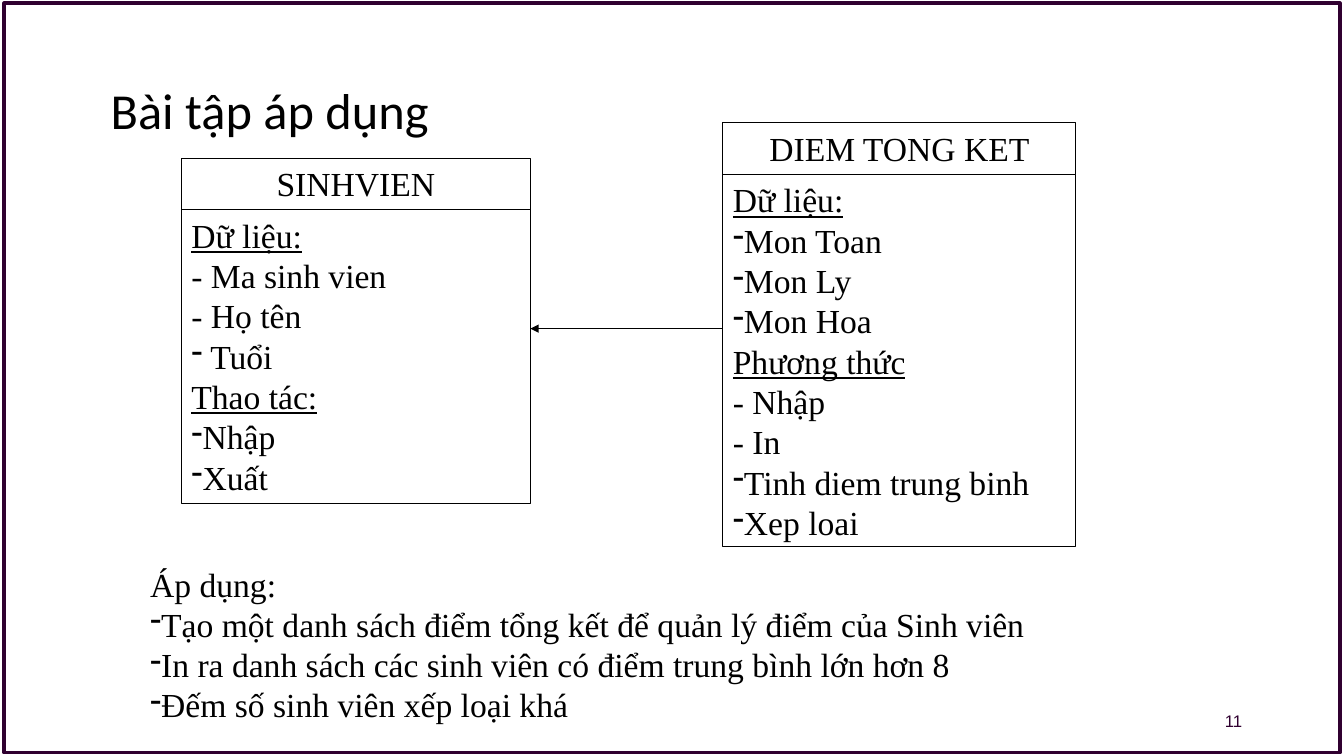
from dataclasses import dataclass

from lxml import etree
from pptx import Presentation
from pptx.dml.color import RGBColor
from pptx.enum.shapes import MSO_CONNECTOR, MSO_SHAPE
from pptx.enum.text import MSO_ANCHOR, PP_ALIGN
from pptx.oxml.ns import qn
from pptx.util import Inches, Pt


@dataclass(frozen=True)
class Theme:
    """Colours, fonts and type sizes of the slide."""
    ink: RGBColor = RGBColor(0, 0, 0)
    paper: RGBColor = RGBColor(255, 255, 255)
    plum: RGBColor = RGBColor(0x30, 0x00, 0x30)
    body_font: str = "Times New Roman"
    title_font: str = "Calibri"
    number_font: str = "Arial"
    body_size: int = 24
    title_size: int = 36
    number_size: int = 12
    thin: float = 0.75
    frame: float = 2.25


THEME = Theme()
HEADER_HEIGHT = 0.53
BODY_OFFSET = 0.51
BULLET = "*"
UNDERLINE = "_"

STUDENT_LINES = ["_Dữ liệu:", "- Ma sinh vien", "- Họ tên", "* Tuổi",
                 "_Thao tác:", "*Nhập", "*Xuất"]
GRADE_LINES = ["_Dữ liệu:", "*Mon Toan", "*Mon Ly", "*Mon Hoa",
               "_Phương thức", "- Nhập", "- In",
               "*Tinh diem trung binh", "*Xep loai"]
TASK_LINES = ["Áp dụng: ",
              "*Tạo một danh sách điểm tổng kết để quản lý điểm của Sinh viên",
              "*In ra danh sách các sinh viên có điểm trung bình lớn hơn 8",
              "*Đếm số sinh viên xếp loại khá"]


def add_dash_bullet(paragraph):
    """Give a paragraph a dash bullet without indent."""
    bullet = etree.SubElement(paragraph._p.get_or_add_pPr(), qn("a:buChar"))
    bullet.set("char", "-")


def write_lines(shape, lines, font=THEME.body_font, size=THEME.body_size,
                color=THEME.ink, align=PP_ALIGN.LEFT, anchor=MSO_ANCHOR.TOP):
    """Write one paragraph per line, reading its leading style marker."""
    frame = shape.text_frame
    frame.word_wrap = True
    frame.vertical_anchor = anchor
    for index, line in enumerate(lines):
        paragraph = frame.paragraphs[0] if index == 0 else frame.add_paragraph()
        paragraph.alignment = align
        if line.startswith(BULLET):
            add_dash_bullet(paragraph)
        run = paragraph.add_run()
        run.text = line.lstrip(BULLET + UNDERLINE)
        run.font.name = font
        run.font.size = Pt(size)
        run.font.color.rgb = color
        run.font.underline = line.startswith(UNDERLINE)


def add_box(slide, left, top, width, height, fill=None, line=None, weight=THEME.thin):
    """Add a flat rectangle with an optional fill and outline."""
    box = slide.shapes.add_shape(MSO_SHAPE.RECTANGLE, Inches(left), Inches(top),
                                 Inches(width), Inches(height))
    box.shadow.inherit = False
    if fill is None:
        box.fill.background()
    else:
        box.fill.solid()
        box.fill.fore_color.rgb = fill
    if line is None:
        box.line.fill.background()
    else:
        box.line.color.rgb = line
        box.line.width = Pt(weight)
    return box


def add_label(slide, left, top, width, height, text, **style):
    """Add a text box centred vertically and return its paragraph."""
    label = slide.shapes.add_textbox(Inches(left), Inches(top),
                                     Inches(width), Inches(height))
    write_lines(label, [text], anchor=MSO_ANCHOR.MIDDLE, **style)
    return label.text_frame.paragraphs[0]


def add_class_box(slide, left, top, width, body_height, name, members):
    """Add a class diagram box with a name above its members."""
    header = add_box(slide, left, top, width, HEADER_HEIGHT, THEME.paper, THEME.ink)
    write_lines(header, [name], align=PP_ALIGN.CENTER)
    body = add_box(slide, left, top + BODY_OFFSET, width, body_height,
                   THEME.paper, THEME.ink)
    write_lines(body, members)


def add_arrow(slide, start_x, end_x, y):
    """Add a horizontal arrow with a triangular head at its end."""
    arrow = slide.shapes.add_connector(MSO_CONNECTOR.STRAIGHT, Inches(start_x),
                                       Inches(y), Inches(end_x), Inches(y))
    arrow.line.color.rgb = THEME.ink
    arrow.line.width = Pt(THEME.thin)
    etree.SubElement(arrow.line._get_or_add_ln(), qn("a:tailEnd")).set("type", "triangle")
    etree.SubElement(arrow._element.spPr, qn("a:effectLst"))


def main():
    """Build the exercise slide and save it."""
    deck = Presentation()
    deck.slide_width, deck.slide_height = Inches(13.33), Inches(7.5)
    slide = deck.slides.add_slide(deck.slide_layouts[6])
    slide.background.fill.solid()
    slide.background.fill.fore_color.rgb = THEME.paper

    add_box(slide, 0.04, 0.03, 13.25, 7.44, line=THEME.plum, weight=THEME.frame)
    add_label(slide, 9.42, 6.95, 3, 0.4, "11", font=THEME.number_font,
              size=THEME.number_size, color=THEME.plum, align=PP_ALIGN.RIGHT)
    title = add_label(slide, 1, 0.4, 10.5, 1.45, "Bài tập áp dụng",
                      font=THEME.title_font, size=THEME.title_size)
    title.line_spacing = 0.9

    add_class_box(slide, 1.8, 1.57, 3.46, 2.92, "SINHVIEN", STUDENT_LINES)
    add_class_box(slide, 7.17, 1.22, 3.5, 3.69, "DIEM TONG KET", GRADE_LINES)
    add_arrow(slide, 7.17, 5.26, 3.26)

    tasks = add_box(slide, 1.39, 5.54, 9.86, 1.78, THEME.paper)
    write_lines(tasks, TASK_LINES)
    deck.save("out.pptx")


main()
